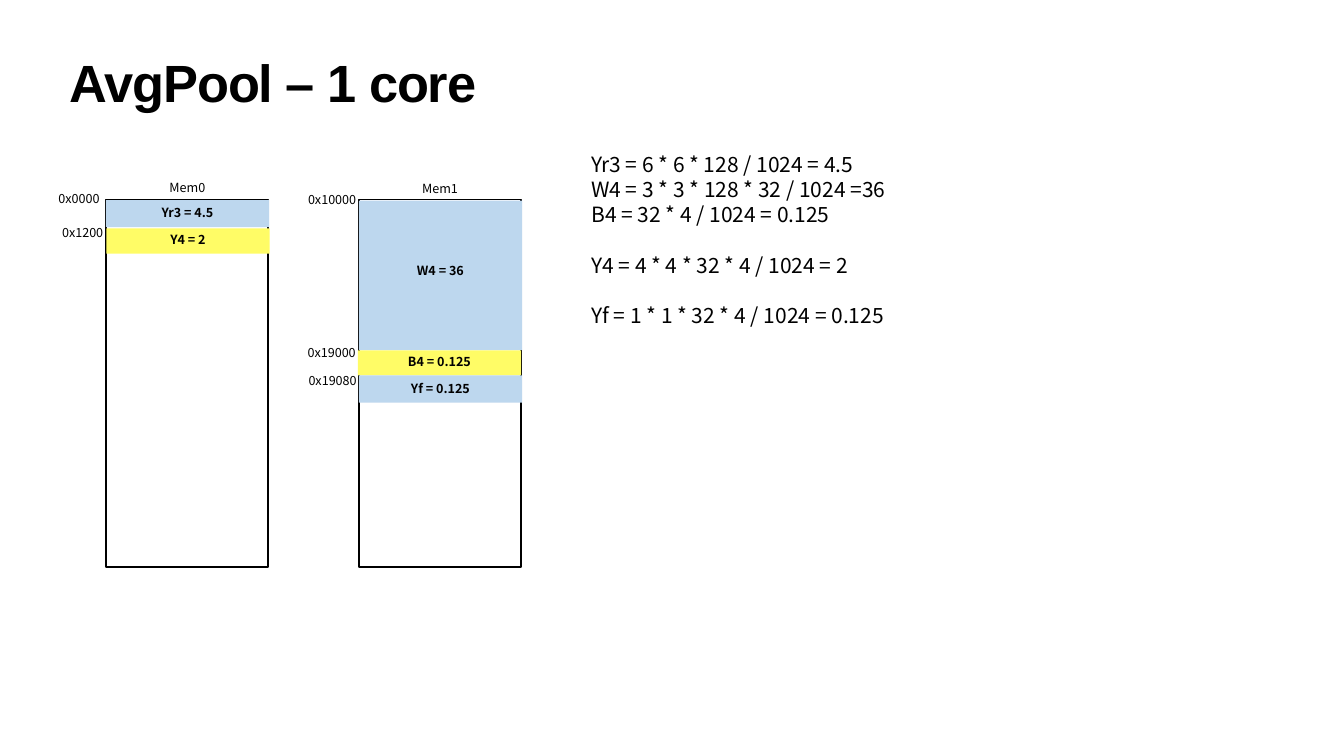
"""Build the AvgPool single-core memory map slide."""
from pptx import Presentation
from pptx.dml.color import RGBColor
from pptx.enum import shapes, text
from pptx.util import Pt

COLORS = {"black": "000000", "blue": "BDD7EE", "yellow": "FFFC66"}
BODY = "Noto Sans CJK SC"
CENTER = text.PP_ALIGN.CENTER
LEFT = text.PP_ALIGN.LEFT

prs = Presentation()
prs.slide_width, prs.slide_height = Pt(1920), Pt(1080)
s = prs.slides.add_slide(prs.slide_layouts[6])


def write(sp, lines, size, align=CENTER, font=BODY, bold=False, inset=3.6):
    tf = sp.text_frame
    tf.word_wrap = True
    tf.margin_left = tf.margin_right = tf.margin_top = tf.margin_bottom = Pt(inset)
    for i, (line, before) in enumerate(lines):
        p = tf.paragraphs[0] if i == 0 else tf.add_paragraph()
        p.alignment = align
        p.space_before = Pt(before)
        r = p.add_run()
        r.text = line
        r.font.name, r.font.size, r.font.bold = font, Pt(size), bold
        r.font.color.rgb = RGBColor.from_string(COLORS["black"])
    return tf


def add_rect(x, y, w, h, fill=None):
    sp = s.shapes.add_shape(shapes.MSO_SHAPE.RECTANGLE, Pt(x), Pt(y), Pt(w), Pt(h))
    sp.shadow.inherit = False
    if fill:
        sp.fill.solid()
        sp.fill.fore_color.rgb = RGBColor.from_string(COLORS[fill])
        sp.line.fill.background()
    else:
        sp.fill.background()
        sp.line.color.rgb = RGBColor.from_string(COLORS["black"])
        sp.line.width = Pt(2.25)
    return sp


title = s.shapes.add_textbox(Pt(95), Pt(85), Pt(1730), Pt(113))
tf = write(title, [("AvgPool – 1 core", 0)], 74.8, LEFT, "Arial", True, 4.3)
p = tf.paragraphs[0]
p.line_spacing = 0.8
p.runs[0].font._element.set("spc", "-150")

for x in (151.2, 512.6):
    add_rect(x, 285, 232, 525)

blocks = [
    ("Yr3 = 4.5", 151.2, 285.8, 38.9, "blue", 6),
    ("Y4 = 2", 151.9, 326.2, 36, "yellow", 7.5),
    ("W4 = 36", 512.6, 286.6, 213.8, "blue", 17),
    ("B4 = 0.125", 511.2, 500.4, 36, "yellow", 7.5),
    ("Yf = 0.125", 512.6, 536.4, 38.9, "blue", 5),
]
for name, x, y, h, fill, bottom in blocks:
    sp = add_rect(x, y, 233.3, h, fill)
    tf = write(sp, [(name, 0)], 18, bold=True)
    tf.margin_bottom = Pt(bottom)
    tf.vertical_anchor = text.MSO_ANCHOR.MIDDLE

labels = [
    ("Mem0", 228.2, 253.4),
    ("0x0000", 73.4, 269.3),
    ("0x1200", 78.5, 317.5),
    ("Mem1", 589, 254.2),
    ("0x10000", 434.9, 270),
    ("0x19000", 434.2, 488.9),
    ("0x19080", 435.6, 529.2),
]
for label, x, y in labels:
    sp = s.shapes.add_textbox(Pt(x), Pt(y), Pt(79.2), Pt(28.8))
    write(sp, [(label, 0)], 18)

sizes = [
    ("Yr3 = 6 * 6 * 128 / 1024 = 4.5", 0),
    ("W4 = 3 * 3 * 128 * 32 / 1024 =36", 0),
    ("B4 = 32 * 4 / 1024 = 0.125", 0),
    ("Y4 = 4 * 4 * 32 * 4 / 1024 = 2", 36),
    ("Yf = 1 * 1 * 32 * 4 / 1024 = 0.125", 36),
]
sp = s.shapes.add_textbox(Pt(841), Pt(213), Pt(957.6), Pt(261.4))
write(sp, sizes, 30, LEFT)

prs.save("out.pptx")
